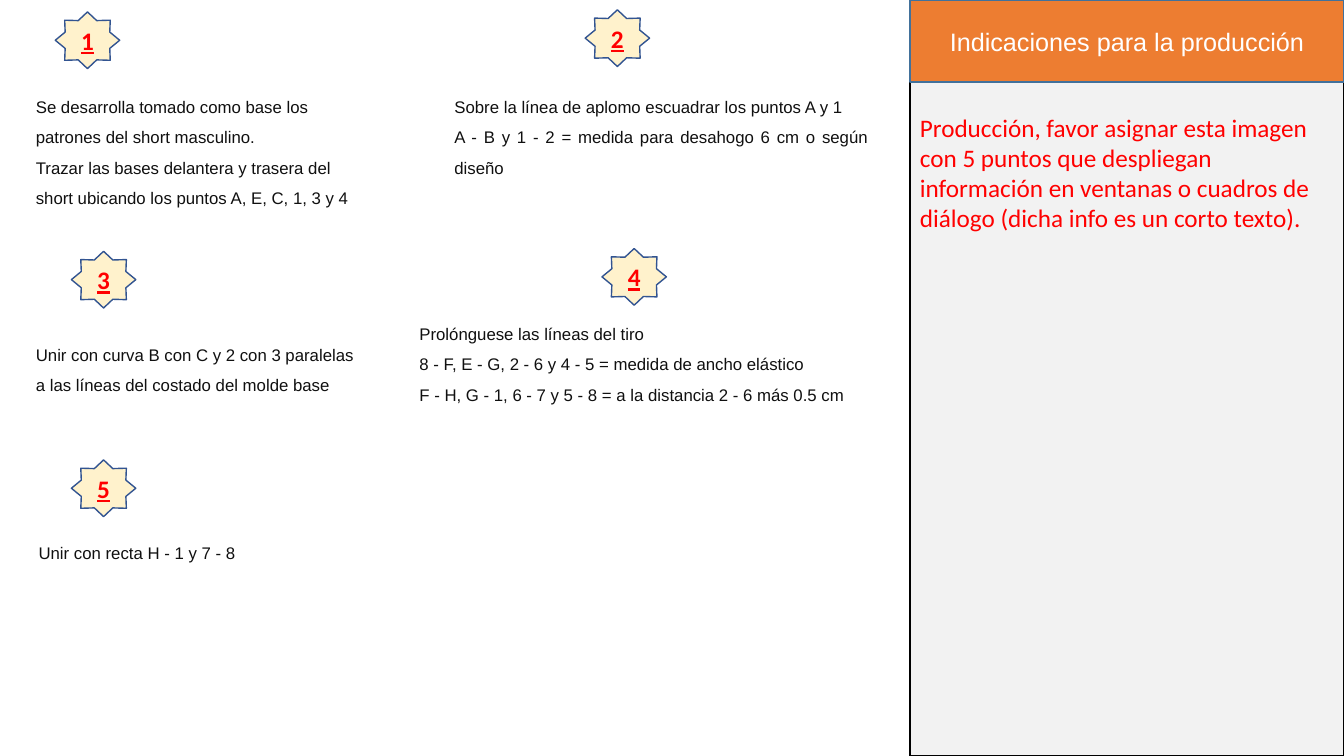
"""Build the slide of five pattern-drafting steps with a production notes panel."""
from pptx import Presentation
from pptx.dml.color import RGBColor
from pptx.enum.shapes import MSO_SHAPE
from pptx.enum.text import MSO_ANCHOR, MSO_AUTO_SIZE, PP_ALIGN
from pptx.util import Pt

STAR, RECTANGLE = MSO_SHAPE.STAR_8_POINT, MSO_SHAPE.RECTANGLE
LEFT, CENTER, JUSTIFY = PP_ALIGN.LEFT, PP_ALIGN.CENTER, PP_ALIGN.JUSTIFY
MIDDLE, TOP = MSO_ANCHOR.MIDDLE, MSO_ANCHOR.TOP
NO_AUTOFIT = MSO_AUTO_SIZE.NONE

COLORS = {
    "panel": "F2F2F2", "panel_line": "000000",
    "header": "ED7D31", "header_line": "42719B", "header_text": "FFFFFF",
    "star": "FFF2CC", "star_line": "325491",
    "accent": "FF0000", "body": "101010",
}
PANEL_LEFT, PANEL_WIDTH, PANEL_HEIGHT = 650, 310, 540
HEADER_HEIGHT = 58.5
STAR_WIDTH, STAR_HEIGHT = 46, 40.5


def paint(shape, fill, line):
    shape.fill.solid()
    shape.fill.fore_color.rgb = RGBColor.from_string(COLORS[fill])
    shape.line.color.rgb = RGBColor.from_string(COLORS[line])
    shape.line.width = Pt(1)


def write(shape, lines, font, size, color, align=LEFT, anchor=TOP, spacing=1.0):
    frame = shape.text_frame
    frame.text = "\n".join(lines)
    frame.word_wrap = True
    frame.auto_size = NO_AUTOFIT
    frame.vertical_anchor = anchor
    for paragraph in frame.paragraphs:
        paragraph.alignment = align
        paragraph.line_spacing = spacing
        for run in paragraph.runs:
            run.font.name = font
            run.font.size = Pt(size)
            run.font.color.rgb = RGBColor.from_string(COLORS[color])


presentation = Presentation()
presentation.slide_width, presentation.slide_height = Pt(960), Pt(540)
slide = presentation.slides.add_slide(presentation.slide_layouts[5])
shapes = slide.shapes

panel = shapes.add_shape(RECTANGLE, Pt(PANEL_LEFT), Pt(0), Pt(PANEL_WIDTH), Pt(PANEL_HEIGHT))
panel.shadow.inherit = False
paint(panel, "panel", "panel_line")

title = shapes.title
title.left, title.top = Pt(PANEL_LEFT), Pt(0)
title.width, title.height = Pt(PANEL_WIDTH), Pt(HEADER_HEIGHT)
paint(title, "header", "header_line")
write(title, ["Indicaciones para la producción"], "Arial", 18, "header_text", CENTER, MIDDLE)
panel.element.addnext(title.element)

note = shapes.add_textbox(Pt(PANEL_LEFT), Pt(76.5), Pt(PANEL_WIDTH), Pt(94.5))
write(note, ["Producción, favor asignar esta imagen con 5 puntos que despliegan información "
             "en ventanas o cuadros de diálogo (dicha info es un corto texto)."],
      "Calibri", 18, "accent")

steps = [
    ((39.5, 8.5), (18.5, 58.5, 243, 92), LEFT, 1.5,
     ["Se desarrolla tomado como base los patrones del short masculino.",
      "Trazar las bases delantera y trasera del short ubicando los puntos A, E, C, 1, 3 y 4"]),
    ((418, 7), (317.5, 58.5, 310, 70), JUSTIFY, 1.5,
     ["Sobre la línea de aplomo escuadrar los puntos A y 1",
      "A - B y 1 - 2 = medida para desahogo 6 cm o según diseño"]),
    ((51, 179.5), (18.5, 235.5, 243, 48), LEFT, 1.5,
     ["Unir con curva B con C y 2 con 3 paralelas a las líneas del costado del molde base"]),
    ((430, 177.5), (292.5, 220.5, 343, 70), LEFT, 1.5,
     ["Prolónguese las líneas del tiro",
      "8 - F, E - G, 2 - 6 y 4 - 5 = medida de ancho elástico",
      "F - H, G - 1, 6 - 7 y 5 - 8 = a la distancia 2 - 6 más 0.5 cm"]),
    ((51, 328.5), (20.5, 384.5, 260, 22), LEFT, 1.0,
     ["Unir con recta H - 1 y 7 - 8"]),
]
for number, (star_position, text_box, align, spacing, lines) in enumerate(steps, start=1):
    star_left, star_top = star_position
    star = shapes.add_shape(STAR, Pt(star_left), Pt(star_top), Pt(STAR_WIDTH), Pt(STAR_HEIGHT))
    star.shadow.inherit = False
    paint(star, "star", "star_line")
    write(star, [str(number)], "Calibri", 18, "accent", CENTER, MIDDLE)
    number_font = star.text_frame.paragraphs[0].runs[0].font
    number_font.bold = number_font.underline = True

    step_text = shapes.add_textbox(*[Pt(length) for length in text_box])
    write(step_text, lines, "Arial", 12, "body", align, spacing=spacing)

presentation.save("out.pptx")
